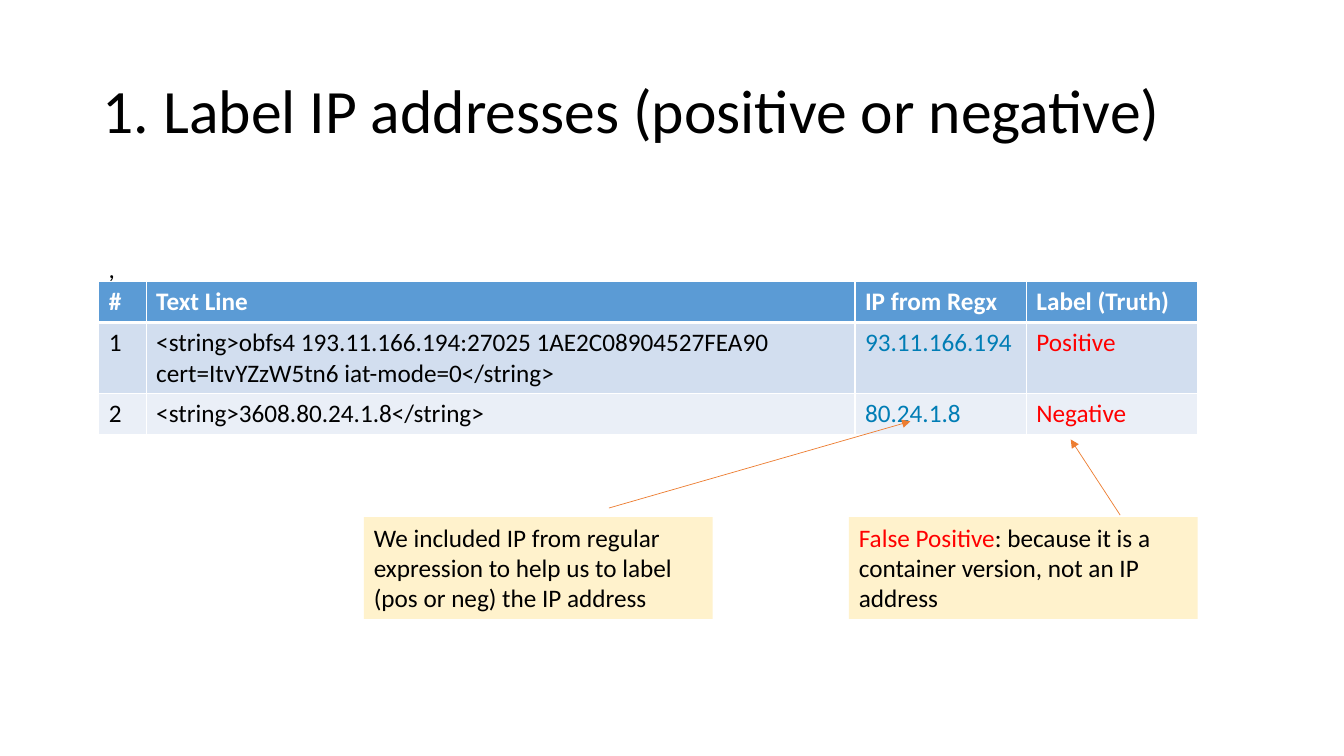
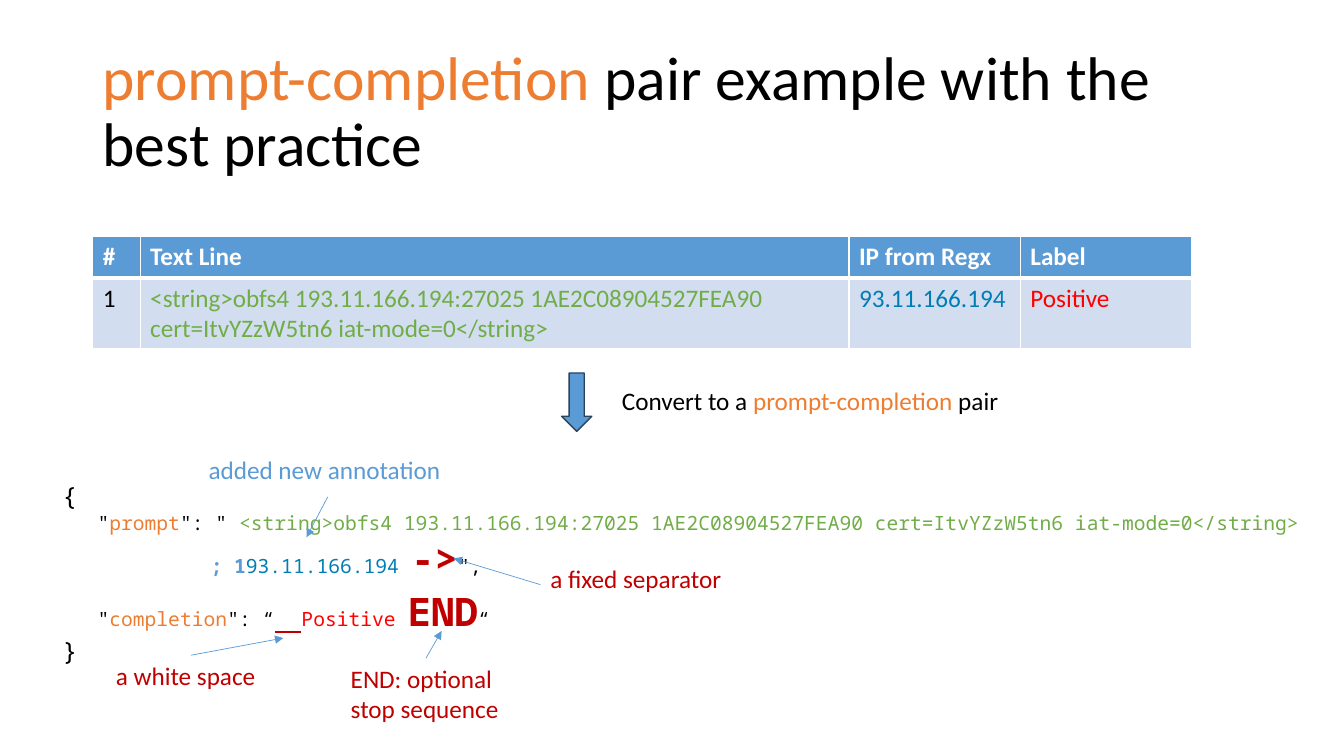
from dataclasses import dataclass
from typing import NamedTuple

from lxml import etree
from pptx import Presentation
from pptx.dml.color import RGBColor
from pptx.enum import shapes, text
from pptx.oxml import ns
from pptx.util import Inches, Pt

BLACK, WHITE = "000000", "FFFFFF"
BLUE, ORANGE, GREEN = "5B9BD5", "ED7D31", "70AD47"
RED, DARK, TEAL = "FF0000", "C00000", "007DB5"
CREAM, NAVY = "FFF2CC", "28445D"
BANDS = ("D2DEEF", "EAEFF7")
SANS, MONO = "Calibri", "Noto Sans Mono"
COLS = (0.47, 7.03, 1.7, 1.7)
HEAD, TALL = 0.41, 0.69
LOG = ("<string>obfs4 193.11.166.194:27025 1AE2C08904527FEA90 "
       "cert=ItvYZzW5tn6 iat-mode=0</string>")


class Box(NamedTuple):
    left: float
    top: float
    width: float
    height: float

    def size(self):
        return [Inches(v) for v in self]


@dataclass
class Run:
    text: str
    color: str = BLACK
    size: int = 18
    bold: bool = False
    under: bool = False
    font: str = SANS


@dataclass
class Line:
    runs: list[Run]
    indent: float = 0


@dataclass
class Arrow:
    start: tuple[float, float]
    end: tuple[float, float]
    color: str = BLUE


def tint(color: str) -> RGBColor:
    return RGBColor.from_string(color)


def say(par, words: str, *, color=BLACK, size=18, bold=False, under=False,
        font=SANS) -> None:
    """Append one formatted run to a paragraph."""
    run = par.add_run()
    run.text = words
    face = run.font
    face.name, face.size, face.bold = font, Pt(size), bold
    face.underline = under
    face.color.rgb = tint(color)


def write(frame, lines: list[Line]) -> None:
    for i, line in enumerate(lines):
        par = frame.add_paragraph() if i else frame.paragraphs[0]
        par.alignment = text.PP_ALIGN.LEFT
        if line.indent:
            props = par._p.get_or_add_pPr()
            props.set("marL", str(Inches(line.indent)))
            props.set("indent", "0")
        for run in line.runs:
            say(par, run.text, color=run.color, size=run.size, bold=run.bold,
                under=run.under, font=run.font)


def note(slide, box: Box, *runs: Run, lines: list[Line] | None = None):
    shape = slide.shapes.add_textbox(*box.size())
    shape.text_frame.word_wrap = True
    write(shape.text_frame, lines or [Line(list(runs))])
    return shape


def title(slide, *runs: Run) -> None:
    frame = note(slide, Box(0.92, 0.4, 11.5, 1.45), *runs).text_frame
    frame.vertical_anchor = text.MSO_ANCHOR.MIDDLE
    frame.paragraphs[0].line_spacing = 0.9
    for run in frame.paragraphs[0].runs:
        run.font.size = Pt(44)


def card(slide, box: Box, *runs: Run) -> None:
    """Draw a cream callout."""
    shape = note(slide, box, *runs)
    shape.fill.solid()
    shape.fill.fore_color.rgb = tint(CREAM)


def link(slide, arrow: Arrow, source=None) -> None:
    """Draw an arrow, joined to the top of source if there is one."""
    ends = [Inches(v) for v in (*arrow.start, *arrow.end)]
    wire = slide.shapes.add_connector(shapes.MSO_CONNECTOR.STRAIGHT, *ends)
    if source is not None:
        wire.begin_connect(source, 0)
    wire.line.color.rgb = tint(arrow.color)
    wire.line.width = Pt(0.5)
    tip = etree.SubElement(wire.line._get_or_add_ln(), ns.qn("a:tailEnd"))
    tip.set("type", "triangle")
    etree.SubElement(wire._element.spPr, ns.qn("a:effectLst"))


def edge(cell, side: str, width: float) -> None:
    """Give one side of a cell a white border."""
    line = etree.SubElement(cell._tc.get_or_add_tcPr(), ns.qn(f"a:ln{side}"))
    line.set("w", str(Pt(width)))
    fill = etree.SubElement(line, ns.qn("a:solidFill"))
    etree.SubElement(fill, ns.qn("a:srgbClr")).set("val", WHITE)


def grid(slide, left: float, top: float, heads: list[str],
         rows: list[list[Run]], tall: list[float]) -> None:
    """Draw a table with a blue header and banded rows."""
    heights = [HEAD, *tall]
    box = Box(left, top, sum(COLS), sum(heights))
    table = slide.shapes.add_table(len(heights), len(COLS), *box.size()).table
    for col, width in zip(table.columns, COLS):
        col.width = Inches(width)
    top_row = [Run(word, WHITE, bold=True) for word in heads]
    for r, runs in enumerate([top_row, *rows]):
        table.rows[r].height = Inches(heights[r])
        for c, run in enumerate(runs):
            cell = table.cell(r, c)
            write(cell.text_frame, [Line([run])])
            for side in "LRTB":
                thick = (side, r) in (("B", 0), ("T", 1))
                edge(cell, side, 3 if thick else 1)
            cell.fill.solid()
            shade = BANDS[(r - 1) % 2] if r else BLUE
            cell.fill.fore_color.rgb = tint(shade)


def row(num: str, words: str, addr: str, truth: str, color=BLACK) -> list[Run]:
    return [Run(num), Run(words, color), Run(addr, TEAL), Run(truth, RED)]


def code(words: str, color=BLACK, size=14, **style) -> Run:
    return Run(words, color, size, font=MONO, **style)


def labels(slide) -> None:
    title(slide, Run("1. Label IP addresses (positive or negative)"))
    note(slide, Box(0.98, 2.46, 10.76, 0.4), Run(","))
    grid(slide, 0.98, 2.79,
         ["#", "Text Line", "IP from Regx", "Label (Truth)"],
         [row("1", LOG, "93.11.166.194", "Positive"),
          row("2", "<string>3608.80.24.1.8</string>", "80.24.1.8",
              "Negative")],
         [TALL, HEAD])
    card(slide, Box(8.42, 5.13, 3.46, 1.01), Run("False Positive", RED),
         Run(": because it is a container version, not an IP address"))
    card(slide, Box(3.61, 5.13, 3.46, 1.01),
         Run("We included IP from regular expression to help us to label "
             "(pos or neg) the IP address"))
    link(slide, Arrow((11.11, 5.11), (10.62, 4.36), ORANGE))
    link(slide, Arrow((6.04, 5.04), (9.03, 4.18), ORANGE))


def pair(slide) -> None:
    title(slide, Run("prompt-completion", ORANGE),
          Run(" pair example with the best practice"))
    grid(slide, 0.92, 2.35, ["#", "Text Line", "IP from Regx", "Label"],
         [row("1", LOG, "93.11.166.194", "Positive", GREEN)], [TALL])

    down = slide.shapes.add_shape(shapes.MSO_SHAPE.DOWN_ARROW,
                                  *Box(5.57, 3.7, 0.3, 0.58).size())
    down.shadow.inherit = False
    down.fill.solid()
    down.fill.fore_color.rgb = tint(BLUE)
    down.line.color.rgb = tint(NAVY)
    down.line.width = Pt(1)
    note(slide, Box(6.07, 3.77, 4.21, 0.4), Run("Convert to a "),
         Run("prompt-completion", ORANGE), Run(" pair"))

    note(slide, Box(0.52, 4.72, 12.5, 1.95), lines=[
        Line([code("{", size=18)]),
        Line([code('"'), code("prompt", ORANGE), code('": "'),
              code(" " + LOG, GREEN)], 0.35),
        Line([code("; 1", BLUE, bold=True), code("93.11.166.194 ", TEAL),
              code("->", DARK, 28, bold=True), code('",')], 1.47),
        Line([code('"'), code("completion", ORANGE), code('": “'),
              code(" ", DARK, 32, bold=True, under=True),
              code("Positive ", RED), code("END", DARK, 28, bold=True),
              code("“")], 0.35),
        Line([code("}", size=18)]),
    ])

    note(slide, Box(5.36, 5.54, 2, 0.4), Run("a fixed separator", DARK))
    note(slide, Box(1.97, 4.46, 2.53, 0.4), Run("added new annotation", BLUE))
    space = note(slide, Box(1.05, 6.5, 1.69, 0.4), Run("a white space", DARK))
    stop = note(slide, Box(3.38, 6.53, 1.69, 0.71),
                Run("END: optional stop sequence", DARK))
    link(slide, Arrow((5.36, 5.8), (4.5, 5.54)))
    link(slide, Arrow((3.25, 4.93), (3.04, 5.33)))
    link(slide, Arrow((1.89, 6.5), (2.81, 6.33)), space)
    link(slide, Arrow((4.23, 6.53), (4.38, 6.26)), stop)


def main() -> None:
    deck = Presentation()
    deck.slide_width, deck.slide_height = Inches(13.33), Inches(7.5)
    for draw in (labels, pair):
        draw(deck.slides.add_slide(deck.slide_layouts[6]))
    deck.save("out.pptx")


if __name__ == "__main__":
    main()
